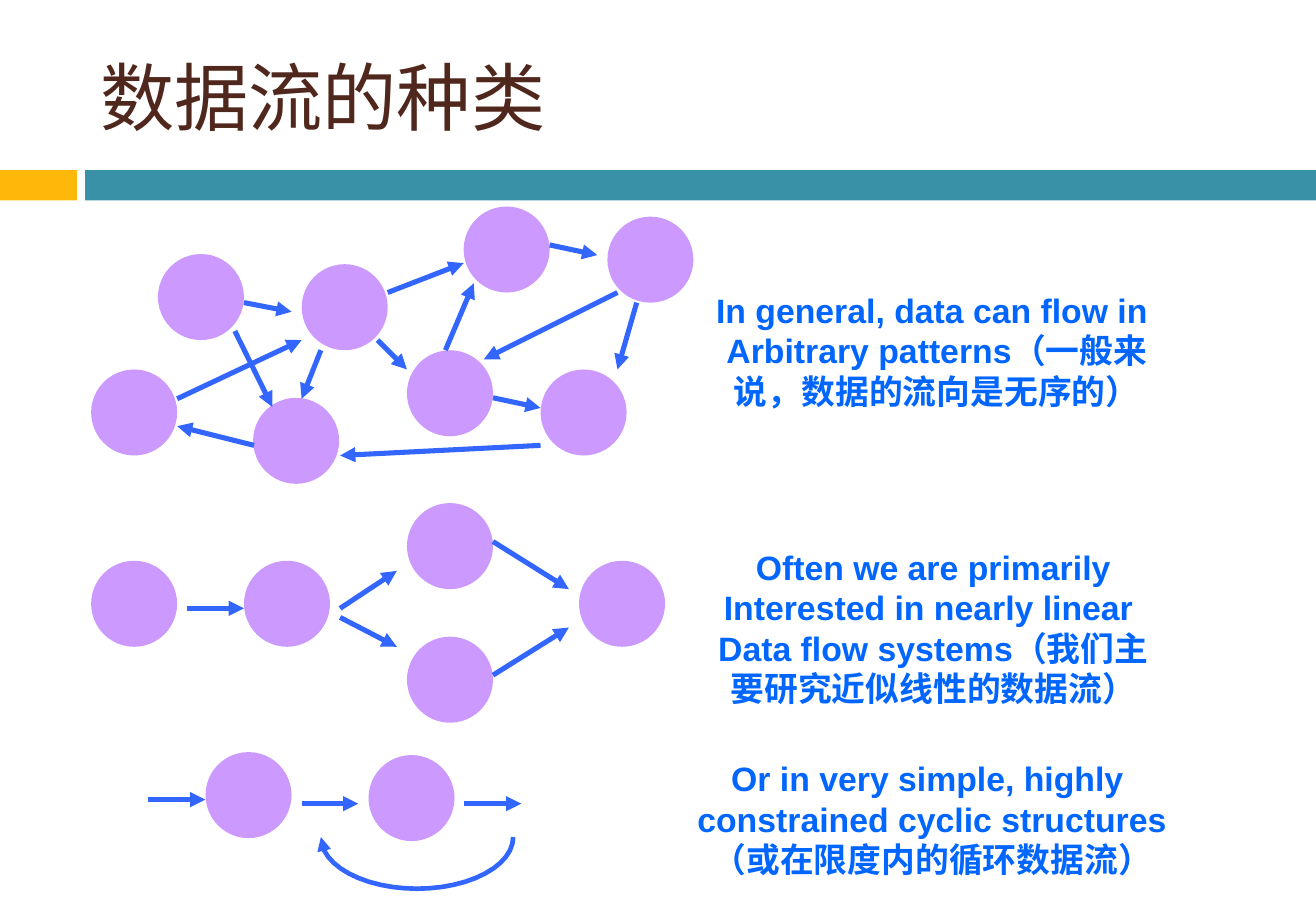
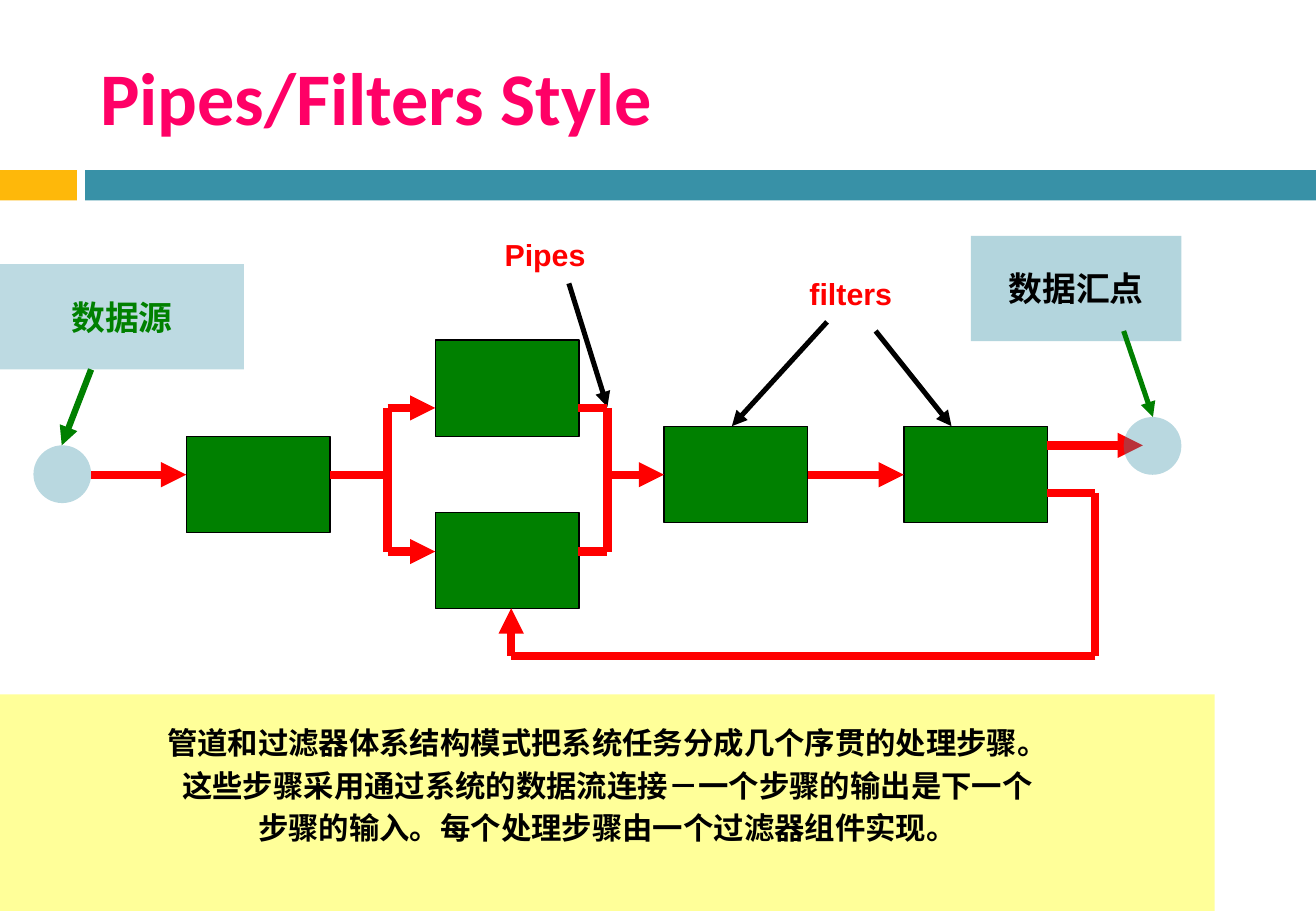
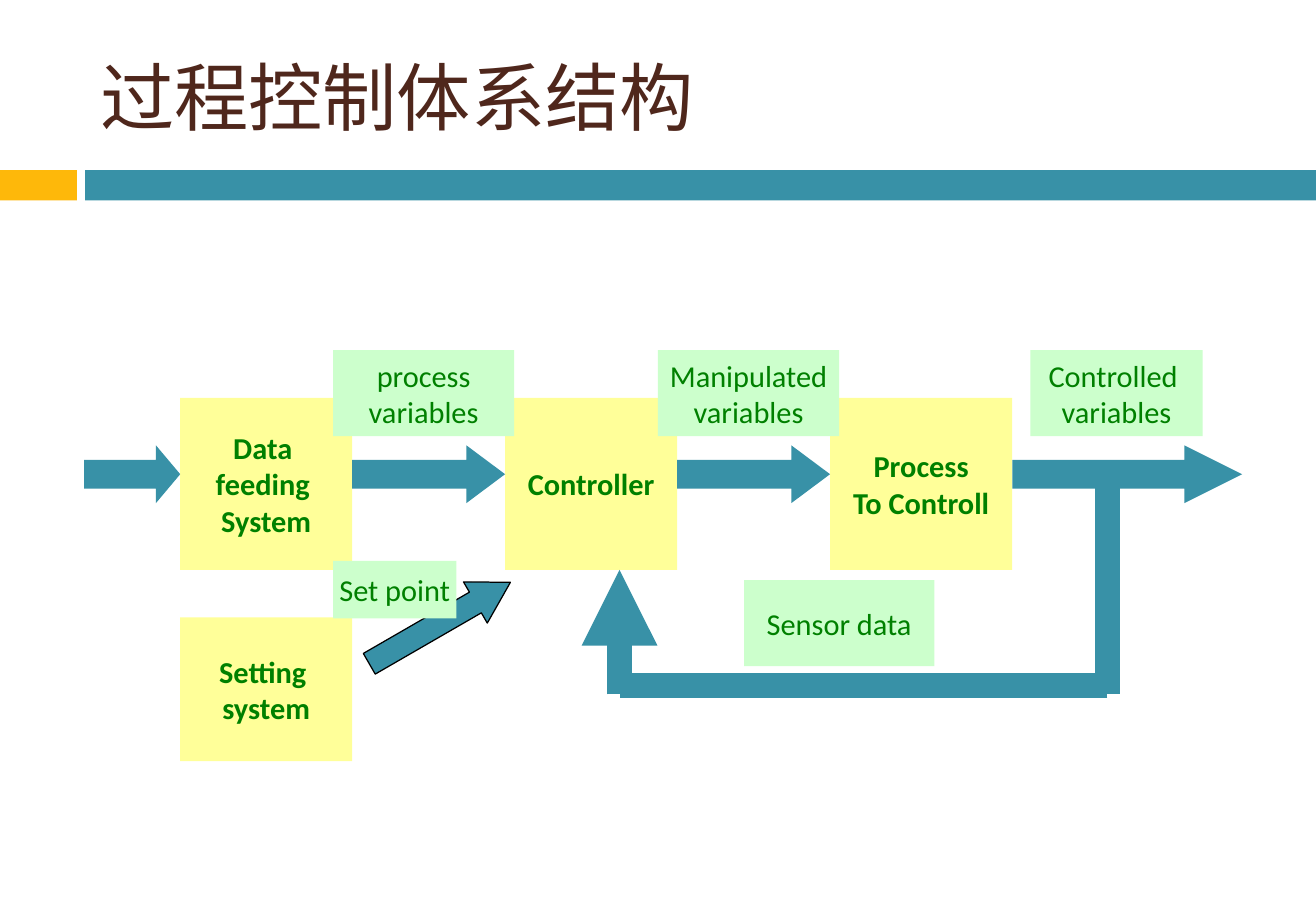
from math import cos, pi, sin

from lxml.etree import SubElement
from pptx import Presentation
from pptx.dml.color import RGBColor
from pptx.enum.lang import MSO_LANGUAGE_ID as LANG
from pptx.enum.shapes import MSO_CONNECTOR, MSO_SHAPE as SHAPE
from pptx.enum.text import MSO_ANCHOR as ANCHOR, PP_ALIGN as ALIGN
from pptx.oxml.ns import qn
from pptx.util import Emu, Pt

EMU_PER_PX = 7620  # 120 px to the inch
SLIDE_W, SLIDE_H = 1300, 900

TEAL, AMBER, BROWN, PINK = "3891A7", "FEB80A", "4F271C", "FF0066"
LILAC, ARROW_BLUE, TEXT_BLUE = "CC99FF", "3366FF", "0066FF"
GREEN, RED, BLACK = "008000", "FF0000", "000000"
YELLOW, MINT = "FFFF99", "CCFFCC"

NODE = 85  # diameter of a data-flow node


def px(n):
    return Emu(round(n * EMU_PER_PX))


def rgb(color):
    return RGBColor.from_string(color)


def write(sp, lines, size, color, font="Calibri", bold=False,
          align=ALIGN.CENTER, before=0, wrap=False):
    """Fill the shape with one paragraph per line, centred vertically."""
    tf = sp.text_frame
    tf.word_wrap = wrap
    tf.vertical_anchor = ANCHOR.MIDDLE
    for i, line in enumerate(lines):
        p = tf.paragraphs[0] if i == 0 else tf.add_paragraph()
        p.alignment = align
        p.space_before = Pt(before)
        r = p.add_run()
        r.text = line
        r.font.name, r.font.size, r.font.bold = font, Pt(size), bold
        r.font.color.rgb = rgb(color)
        r.font.language_id = LANG.SIMPLIFIED_CHINESE


def add_block(s, box, fill=None, kind=SHAPE.RECTANGLE, outline=None, opacity=None):
    sp = s.shapes.add_shape(kind, *map(px, box))
    sp.shadow.inherit = False
    if fill:
        sp.fill.solid()
        sp.fill.fore_color.rgb = rgb(fill)
    else:
        sp.fill.background()
    if opacity is not None:
        clr = sp._element.spPr.find(qn("a:solidFill")).find(qn("a:srgbClr"))
        SubElement(clr, qn("a:alpha"), val=str(opacity * 1000))
    if outline:
        sp.line.color.rgb = rgb(outline)
        sp.line.width = Pt(0.75)
    else:
        sp.line.fill.background()
    return sp


def add_caption(s, box, lines, size, color):
    """Add bold text that may run past the sides of its unfilled box."""
    write(add_block(s, box), lines, size, color, font="Arial", bold=True)


def add_circle(s, left, top, size, fill, **look):
    return add_block(s, (left, top, size, size), fill, SHAPE.OVAL, **look)


def add_block_arrow(s, box, head, rotation=0, outline=None):
    """Add a teal arrow whose head is `head` times as long as the arrow is high."""
    sp = add_block(s, box, TEAL, SHAPE.RIGHT_ARROW, outline)
    sp.adjustments[1] = head
    sp.rotation = rotation


def style_line(sp, color, width, arrow):
    sp.line.color.rgb = rgb(color)
    sp.line.width = Pt(width)
    if arrow:
        SubElement(sp._element.spPr.find(qn("a:ln")), qn("a:tailEnd"), type="triangle")


def add_line(s, ends, color, width, arrow=True):
    c = s.shapes.add_connector(MSO_CONNECTOR.STRAIGHT, *map(px, ends))
    style_line(c, color, width, arrow)
    SubElement(c._element.spPr, qn("a:effectLst"))


def add_feedback_loop(s, cx, cy, rx, ry, steps=24):
    """Draw the lower half of an ellipse from right to left, with an arrowhead."""
    points = [(px(cx + rx * cos(pi * i / steps)), px(cy + ry * sin(pi * i / steps)))
              for i in range(steps + 1)]
    fb = s.shapes.build_freeform(*points[0])
    fb.add_line_segments(points[1:], close=False)
    sp = fb.convert_to_shape()
    sp.shadow.inherit = False
    sp.fill.background()
    style_line(sp, ARROW_BLUE, 2.75, True)


def add_slide(prs, title, color=BROWN, bold=False):
    s = prs.slides.add_slide(prs.slide_layouts[6])
    add_block(s, (0, 168, 76, 30), AMBER)
    add_block(s, (84, 168, SLIDE_W - 84, 30), TEAL)
    sp = s.shapes.add_textbox(*map(px, (87, 30, 1159, 130)))
    write(sp, [title], 44, color, bold=bold, align=ALIGN.LEFT, wrap=True)
    return s


def add_flow(s, nodes, arrows):
    for left, top in nodes:
        add_circle(s, left, top, NODE, LILAC)
    for ends in arrows:
        add_line(s, ends, ARROW_BLUE, 3)


def add_labelled_blocks(s, blocks, fill, bold=False):
    for box, lines in blocks:
        write(add_block(s, box, fill), lines, 18, GREEN, bold=bold)


def data_flow_slide(prs):
    s = add_slide(prs, "数据流的种类")
    add_flow(s,
             [(156, 251), (298, 261), (90, 365), (250, 393),
              (458, 204), (402, 346), (600, 214), (534, 365)],
             [(241, 299, 288, 308), (232, 327, 269, 402), (317, 346, 298, 394),
              (175, 394, 298, 336), (251, 440, 175, 421), (383, 289, 458, 260),
              (440, 346, 468, 280), (373, 336, 402, 365), (543, 242, 590, 252),
              (610, 289, 478, 355), (629, 299, 610, 365), (534, 440, 336, 450),
              (487, 393, 534, 403)])
    add_flow(s,
             [(90, 554), (402, 497), (402, 629), (241, 554), (572, 554)],
             [(185, 601, 241, 601), (336, 601, 392, 564), (336, 610, 392, 639),
              (487, 535, 562, 582), (487, 667, 562, 620)])
    add_flow(s,
             [(203, 743), (364, 746)],
             [(146, 790, 203, 790), (298, 794, 354, 794), (458, 794, 515, 794)])
    add_feedback_loop(s, 412, 827, 95, 51)

    captions = [
        ((722, 223, 407, 246), ["In general, data can flow in ",
                                "Arbitrary patterns（一般来",
                                "说，数据的流向是无序的）"]),
        ((714, 526, 416, 188), ["Often we are primarily",
                                "Interested in nearly linear ",
                                "Data flow systems（我们主",
                                "要研究近似线性的数据流）"]),
        ((704, 743, 434, 132), ["Or in very simple, highly ",
                                "constrained cyclic structures",
                                "（或在限度内的循环数据流）"]),
    ]
    for box, lines in captions:
        add_caption(s, box, lines, 20, TEXT_BLUE)


def pipes_slide(prs):
    s = add_slide(prs, "Pipes/Filters Style", PINK, bold=True)
    for left, top in [(184, 431), (430, 336), (430, 506), (656, 421), (893, 421)]:
        add_block(s, (left, top, 142, 95), GREEN, outline=BLACK)

    for text, box in [("filters", (760, 252, 161, 76)), ("Pipes", (458, 213, 161, 76))]:
        add_caption(s, box, [text], 18, RED)
    for ends in [(817, 318, 723, 421), (865, 327, 940, 421), (562, 280, 600, 402)]:
        add_line(s, ends, BLACK, 3)

    plain_pipes = [(326, 469, 383, 469), (383, 403, 383, 545),
                   (571, 403, 600, 403), (571, 545, 600, 545), (600, 403, 600, 545),
                   (1034, 487, 1082, 487), (1082, 487, 1082, 648),
                   (1082, 648, 505, 648)]
    arrow_pipes = [(90, 469, 184, 469), (383, 403, 430, 403), (383, 545, 430, 545),
                   (600, 469, 656, 469), (798, 469, 893, 469),
                   (1034, 440, 1129, 440), (505, 648, 505, 601)]
    for pipes, arrow in [(plain_pipes, False), (arrow_pipes, True)]:
        for ends in pipes:
            add_line(s, ends, RED, 5, arrow)

    summary = add_block(s, (0, 686, 1200, 214), YELLOW)
    summary.text_frame.margin_bottom = px(41)
    write(summary, ["管道和过滤器体系结构模式把系统任务分成几个序贯的处理步骤。",
                    "这些步骤采用通过系统的数据流连接－一个步骤的输出是下一个",
                    "步骤的输入。每个处理步骤由一个过滤器组件实现。"],
          18, BLACK, font="Arial", bold=True, before=3.6)

    endpoints = [
        ("数据源", GREEN, (0, 261, 241, 104), 33, (33, 440), (90, 365, 61, 440), 3.75),
        ("数据汇点", BLACK, (959, 233, 208, 104), 38, (1110, 412),
         (1110, 327, 1139, 412), 3),
    ]
    for text, color, box, opacity, dot, pointer, width in endpoints:
        add_circle(s, *dot, 57, TEAL, opacity=35)
        sp = add_block(s, box, TEAL, opacity=opacity)
        write(sp, [text], 20, color, bold=True)
        add_line(s, pointer, GREEN, width)


def process_control_slide(prs):
    s = add_slide(prs, "过程控制体系结构")
    systems = [
        ((178, 393, 170, 170), ["Data ", "feeding ", "System"]),
        ((499, 393, 170, 170), ["Controller"]),
        ((820, 393, 180, 170), ["Process", "To Controll"]),
        ((178, 610, 170, 142), ["Setting ", "system"]),
    ]
    signals = [
        ((1018, 346, 170, 85), ["Controlled ", "variables"]),
        ((650, 346, 179, 85), ["Manipulated", "variables"]),
        ((329, 346, 179, 85), ["process", "variables"]),
        ((329, 554, 122, 57), ["Set point"]),
        ((735, 573, 188, 85), ["Sensor data"]),
    ]
    add_labelled_blocks(s, systems, YELLOW, bold=True)
    for left, width, head in [(83, 95, 0.42), (348, 151, 0.67),
                              (669, 151, 0.67), (1000, 227, 1)]:
        add_block_arrow(s, (left, 440, width, 57), head)
    add_block_arrow(s, (354, 592, 161, 47), 0.85, rotation=330, outline=BLACK)

    add_line(s, (1094, 479, 1094, 686), TEAL, 15, arrow=False)
    add_line(s, (1094, 677, 612, 677), TEAL, 15, arrow=False)
    add_line(s, (612, 686, 612, 563), TEAL, 15)
    add_labelled_blocks(s, signals, MINT)


def main():
    prs = Presentation()
    prs.slide_width, prs.slide_height = px(SLIDE_W), px(SLIDE_H)
    data_flow_slide(prs)
    pipes_slide(prs)
    process_control_slide(prs)
    prs.save("out.pptx")


if __name__ == "__main__":
    main()
